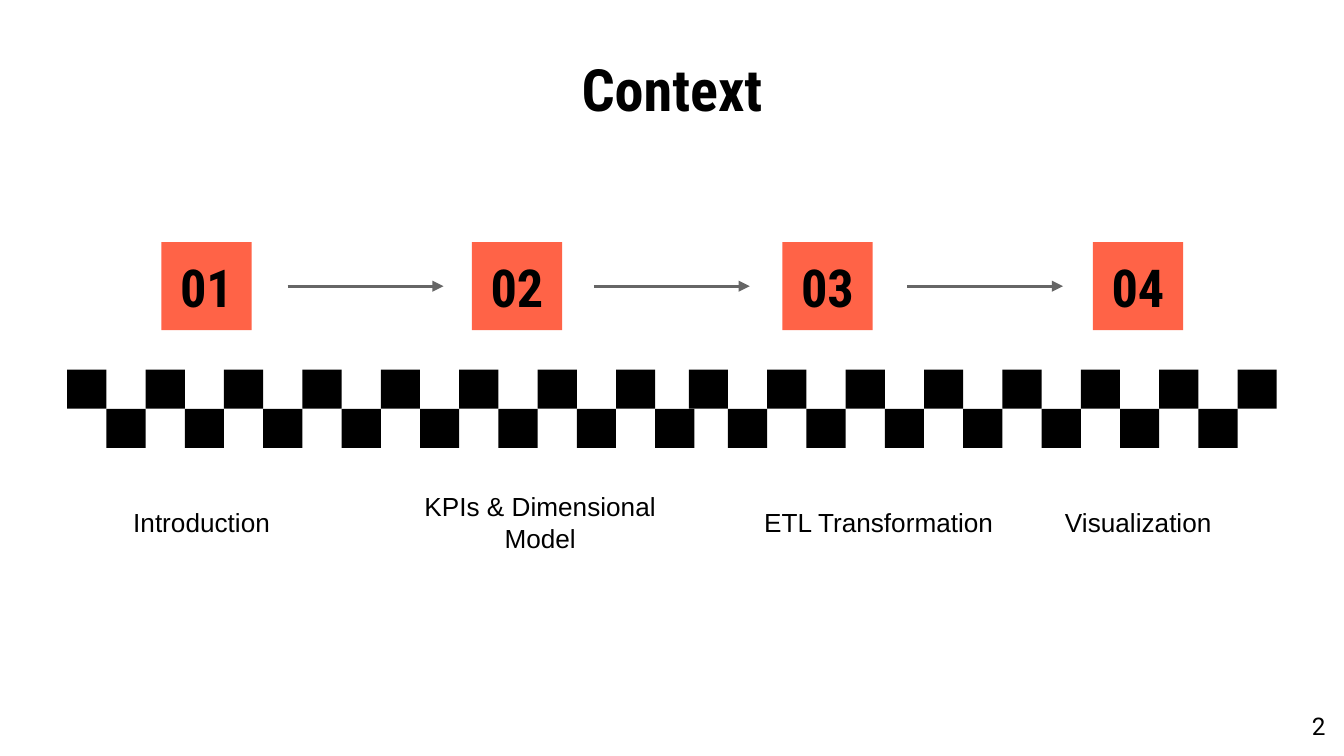
from lxml.etree import SubElement
from pptx import Presentation
from pptx.dml.color import RGBColor
from pptx.enum.shapes import MSO_CONNECTOR as Link, MSO_SHAPE as Shape
from pptx.enum.text import MSO_ANCHOR as Anchor, PP_ALIGN as Align
from pptx.oxml.ns import qn
from pptx.util import Pt

BLACK, CORAL, GREY = "000000", "FF6347", "666666"
HEAD = "Roboto Condensed"
PAD = 7.2
TILE = 21


def color(code):
    return RGBColor.from_string(code)


def write(shape, text, size, font, bold=False, align=Align.CENTER, anchor=Anchor.MIDDLE):
    frame = shape.text_frame
    frame.word_wrap = True
    frame.vertical_anchor = anchor
    frame.margin_left = frame.margin_right = Pt(PAD)
    frame.margin_top = frame.margin_bottom = Pt(PAD)
    para = frame.paragraphs[0]
    para.text = text
    para.alignment = align
    para.font.size = Pt(size)
    para.font.name = font
    para.font.bold = bold
    para.font.color.rgb = color(BLACK)


def add_text(slide, box, text, size, font, **style):
    write(slide.shapes.add_textbox(*map(Pt, box)), text, size, font, **style)


def add_rect(shapes, box, fill):
    rect = shapes.add_shape(Shape.RECTANGLE, *map(Pt, box))
    rect.shadow.inherit = False
    rect.fill.solid()
    rect.fill.fore_color.rgb = color(fill)
    rect.line.fill.background()
    return rect


def add_arrow(shapes, left, y, width):
    arrow = shapes.add_connector(Link.STRAIGHT, Pt(left), Pt(y), Pt(left + width), Pt(y))
    arrow.line.color.rgb = color(GREY)
    arrow.line.width = Pt(1.5)
    SubElement(arrow.line._get_or_add_ln(), qn("a:tailEnd"), type="triangle")
    SubElement(arrow._element.spPr, qn("a:effectLst"))


def add_checks(slide, left, top, count):
    """Draw a two-row checker strip that starts in its upper row."""
    group = slide.shapes.add_group_shape()
    for i in range(count):
        box = left + i * TILE, top + i % 2 * TILE, TILE, TILE
        add_rect(group.shapes, box, BLACK)


def add_steps(slide, left, top, width, height):
    """Draw numbered squares, the arrows between them and their labels."""
    side = 48.4
    pitch = (width - side) / 3
    for i in range(4):
        box = left + i * pitch, top, side, height
        write(add_rect(slide.shapes, box, CORAL), f"{i + 1:02}", 28, HEAD, bold=True)

    group = slide.shapes.add_group_shape()
    for x in (67.7, 231.8, 399.6):
        add_arrow(group.shapes, left + x, top + height / 2, 83.5)

    labels = {
        "Introduction": -55.4,
        "KPIs & Dimensional Model": 126,
        "ETL Transformation": 307.4,
        "Visualization": 446.4,
    }
    for text, x in labels.items():
        add_text(slide, (left + x, top + 122.2, 154, 55.4), text, 14, "Arial")


def main():
    deck = Presentation()
    deck.slide_width, deck.slide_height = Pt(720), Pt(405)
    slide = deck.slides.add_slide(deck.slide_layouts[6])
    add_text(slide, (36, 32.4, 648, 29.5), "Context", 31.2, HEAD, bold=True)
    add_checks(slide, 36, 198, 16)
    add_checks(slide, 369, 198, 15)
    add_steps(slide, 86.4, 129.8, 547.4, 47.1)
    add_text(slide, (673.9, 373.7, 43.2, 31), "2", 13, "Roboto",
             align=Align.RIGHT, anchor=Anchor.TOP)
    deck.save("out.pptx")


if __name__ == "__main__":
    main()
